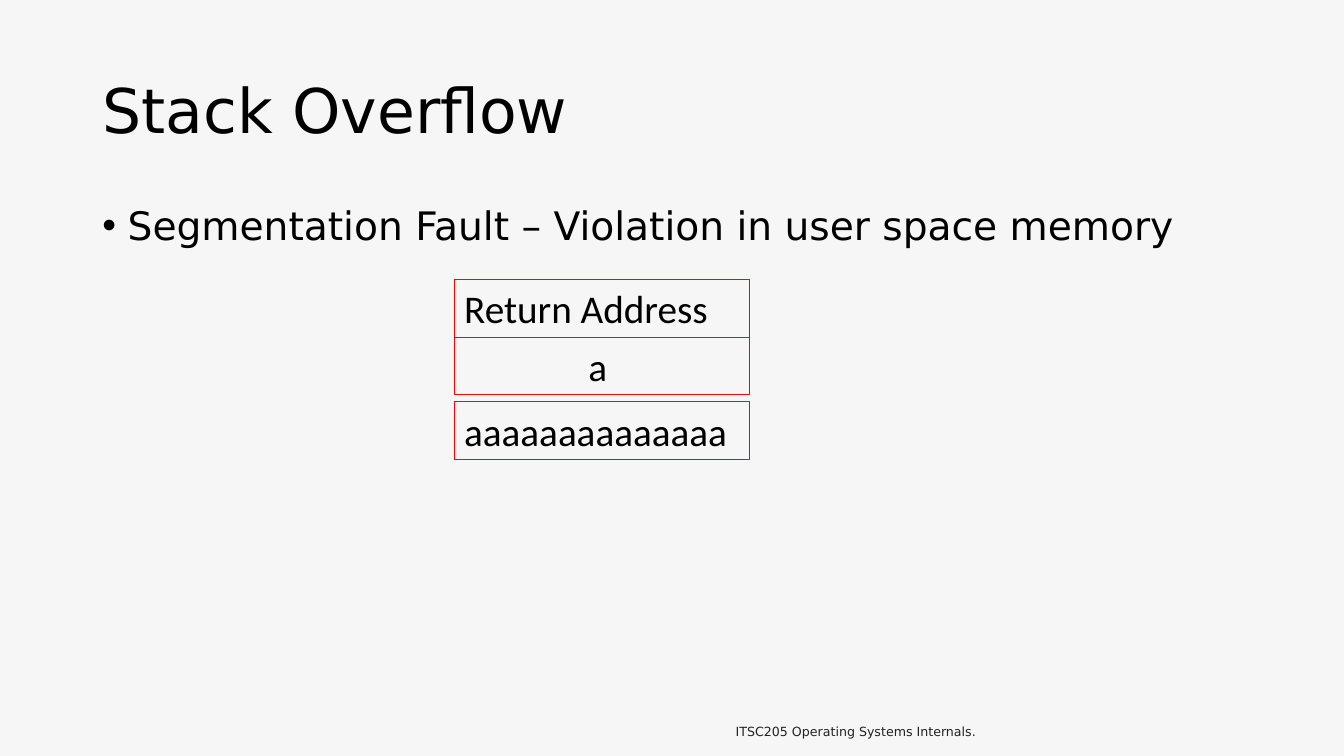
import pptx
import pptx.dml.color
import pptx.enum.shapes
import pptx.enum.text
import pptx.oxml.ns
import pptx.util
from lxml import etree

Cm = pptx.util.Cm
Pt = pptx.util.Pt
RGBColor = pptx.dml.color.RGBColor
ANCHOR = pptx.enum.text.MSO_ANCHOR
ALIGN = pptx.enum.text.PP_ALIGN
AUTO_SIZE = pptx.enum.text.MSO_AUTO_SIZE

BACKGROUND = RGBColor(0xF6, 0xF6, 0xF6)
BLACK = RGBColor(0x00, 0x00, 0x00)
FOOTER_GREY = RGBColor(0x22, 0x22, 0x22)
RED = RGBColor(0xFF, 0x00, 0x00)
SLIDE_FONT = "DejaVu Sans"
STACK_FONT = "Calibri"


def write_text(text_frame, text, size, font_name=SLIDE_FONT, color=BLACK,
               anchor=ANCHOR.TOP, alignment=ALIGN.LEFT):
    """Fill the first paragraph with one run and return the paragraph."""
    text_frame.word_wrap = True
    text_frame.auto_size = AUTO_SIZE.NONE
    text_frame.vertical_anchor = anchor
    paragraph = text_frame.paragraphs[0]
    paragraph.alignment = alignment
    run = paragraph.add_run()
    run.text = text
    run.font.name = font_name
    run.font.size = Pt(size)
    run.font.color.rgb = color
    return paragraph


def add_bullet(paragraph, indent):
    properties = paragraph._p.get_or_add_pPr()
    properties.set("marL", str(indent))
    properties.set("indent", str(-indent))
    font = etree.SubElement(properties, pptx.oxml.ns.qn("a:buFont"))
    font.set("typeface", "Arial")
    bullet = etree.SubElement(properties, pptx.oxml.ns.qn("a:buChar"))
    bullet.set("char", "•")


def place_title(slide, left, top, width, height):
    title = slide.shapes.title
    title.left, title.top, title.width, title.height = left, top, width, height
    paragraph = write_text(title.text_frame, "Stack Overflow", 44, anchor=ANCHOR.MIDDLE)
    paragraph.line_spacing = 0.9


def add_body(slide, left, top, width, height):
    body = slide.shapes.add_textbox(left, top, width, height)
    paragraph = write_text(
        body.text_frame, "Segmentation Fault – Violation in user space memory", 28)
    paragraph.line_spacing = 0.9
    add_bullet(paragraph, Cm(0.64))


def add_stack_cell(slide, text, left, top, width, height, text_inset=Cm(0.25)):
    cell = slide.shapes.add_shape(
        pptx.enum.shapes.MSO_SHAPE.RECTANGLE, left, top, width, height)
    cell.shadow.inherit = False
    cell.fill.background()
    cell.line.color.rgb = RED
    cell.line.width = Pt(0.75)
    write_text(cell.text_frame, text, 28, STACK_FONT)
    cell.text_frame.margin_left = text_inset
    cell.text_frame.auto_size = AUTO_SIZE.SHAPE_TO_FIT_TEXT


def add_stack(slide, left, top, width, cell_height):
    """Two touching cells, then the buffer below a small gap."""
    buffer_gap = Cm(0.18)
    add_stack_cell(slide, "Return Address", left, top, width, cell_height)
    add_stack_cell(slide, "a", left, top + cell_height, width, cell_height,
                   text_inset=Cm(3.38))
    add_stack_cell(slide, "aaaaaaaaaaaaaa", left,
                   top + 2 * cell_height + buffer_gap, width, cell_height)


def add_footer(slide, left, top, width, height):
    footer = slide.shapes.add_textbox(left, top, width, height)
    write_text(footer.text_frame, "ITSC205 Operating Systems Internals.", 9,
               color=FOOTER_GREY, anchor=ANCHOR.BOTTOM, alignment=ALIGN.CENTER)


def main():
    presentation = pptx.Presentation()
    presentation.slide_width = Cm(33.87)
    presentation.slide_height = Cm(19.05)
    slide = presentation.slides.add_slide(presentation.slide_layouts[5])
    slide.background.fill.solid()
    slide.background.fill.fore_color.rgb = BACKGROUND

    margin, content_width = Cm(2.33), Cm(29.21)
    place_title(slide, margin, Cm(1.01), content_width, Cm(3.68))
    add_body(slide, margin, Cm(5.07), content_width, Cm(12.09))
    add_stack(slide, Cm(11.45), Cm(7.05), Cm(7.44), Cm(1.45))
    add_footer(slide, Cm(14.53), Cm(17.75), Cm(14.07), Cm(1.01))
    presentation.save("out.pptx")


if __name__ == "__main__":
    main()
